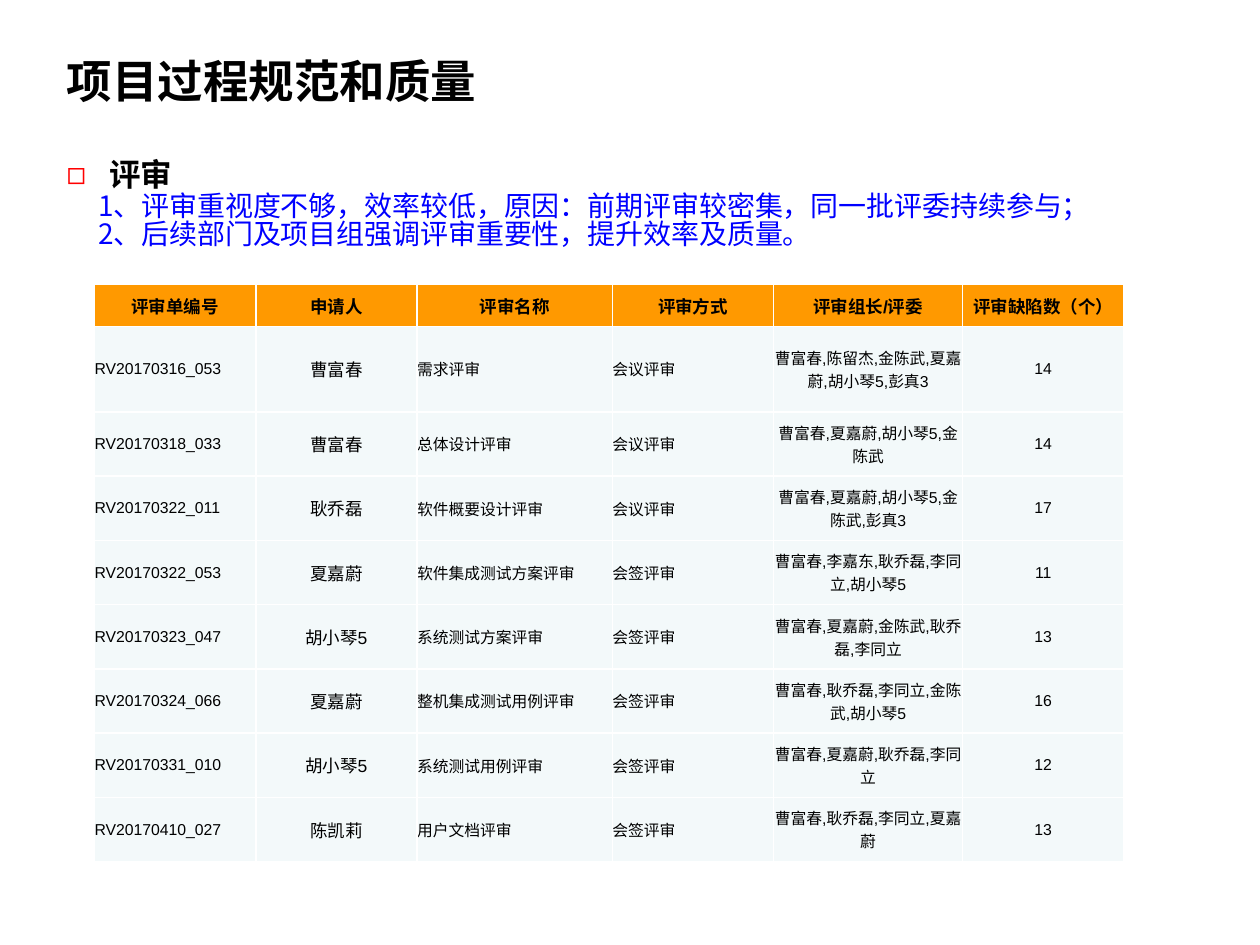
from pptx import Presentation
from pptx.dml.color import RGBColor
from pptx.enum.text import MSO_ANCHOR, PP_ALIGN
from pptx.oxml.ns import qn
from pptx.util import Inches, Pt
from lxml.etree import SubElement

LATIN = "Arial"
CHINESE = "Noto Sans CJK SC"
LEFT, CENTER = PP_ALIGN.LEFT, PP_ALIGN.CENTER

COLUMN_WIDTHS = [1.28, 1.28, 1.55, 1.28, 1.5, 1.28]
ROW_HEIGHTS = [0.33, 0.68] + [0.51] * 7
HEADERS = ["评审单编号", "申请人", "评审名称", "评审方式", "评审组长/评委", "评审缺陷数（个）"]
COLUMN_FORMATS = [(9, LEFT), (10, CENTER), (9, LEFT), (9, LEFT), (9, CENTER), (9, CENTER)]
REVIEWS = [
    ["RV20170316_053", "曹富春", "需求评审", "会议评审", "曹富春,陈留杰,金陈武,夏嘉蔚,胡小琴5,彭真3", "14"],
    ["RV20170318_033", "曹富春", "总体设计评审", "会议评审", "曹富春,夏嘉蔚,胡小琴5,金陈武", "14"],
    ["RV20170322_011", "耿乔磊", "软件概要设计评审", "会议评审", "曹富春,夏嘉蔚,胡小琴5,金陈武,彭真3", "17"],
    ["RV20170322_053", "夏嘉蔚", "软件集成测试方案评审", "会签评审", "曹富春,李嘉东,耿乔磊,李同立,胡小琴5", "11"],
    ["RV20170323_047", "胡小琴5", "系统测试方案评审", "会签评审", "曹富春,夏嘉蔚,金陈武,耿乔磊,李同立", "13"],
    ["RV20170324_066", "夏嘉蔚", "整机集成测试用例评审", "会签评审", "曹富春,耿乔磊,李同立,金陈武,胡小琴5", "16"],
    ["RV20170331_010", "胡小琴5", "系统测试用例评审", "会签评审", "曹富春,夏嘉蔚,耿乔磊,李同立", "12"],
    ["RV20170410_027", "陈凯莉", "用户文档评审", "会签评审", "曹富春,耿乔磊,李同立,夏嘉蔚", "13"],
]


def color(value):
    return RGBColor.from_string(value)


def write(para, text, size=9, font=LATIN, ink="000000", bold=False, align=LEFT):
    para.alignment = align
    span = para.add_run()
    span.text = text
    span.font.size = Pt(size)
    span.font.name = font
    span.font.bold = bold
    span.font.color.rgb = color(ink)
    SubElement(span.font._element, qn("a:ea"), typeface=CHINESE)


def indent(para, margin, first_line=0):
    properties = para._p.get_or_add_pPr()
    properties.set("marL", str(Inches(margin)))
    properties.set("indent", str(Inches(first_line)))
    return properties


def add_bullet(para, character, ink, hanging):
    properties = indent(para, hanging, -hanging)
    bullet_color = SubElement(properties, qn("a:buClr"))
    SubElement(bullet_color, qn("a:srgbClr"), val=ink)
    SubElement(properties, qn("a:buFont"), typeface=LATIN)
    SubElement(properties, qn("a:buChar"), char=character)


def add_borders(cell, ink, width):
    properties = cell._tc.get_or_add_tcPr()
    for side in ("lnL", "lnR", "lnT", "lnB"):
        line = SubElement(properties, qn(f"a:{side}"), w=str(Pt(width)))
        fill = SubElement(line, qn("a:solidFill"))
        SubElement(fill, qn("a:srgbClr"), val=ink)


class ReviewSlide:
    header_fill = "FF9900"
    body_fill = "F3F9FA"
    border = "FFFFFF"
    note_ink = "0000FF"
    bullet_ink = "FF0000"

    def __init__(self, deck):
        self.page = deck.slides.add_slide(deck.slide_layouts[6])

    def add_frame(self, left, top, width, height, anchor=MSO_ANCHOR.TOP):
        box = self.page.shapes.add_textbox(
            Inches(left), Inches(top), Inches(width), Inches(height))
        frame = box.text_frame
        frame.word_wrap = True
        frame.vertical_anchor = anchor
        return frame

    def add_title(self, text):
        frame = self.add_frame(0.43, 0.36, 7.48, 0.55, MSO_ANCHOR.MIDDLE)
        write(frame.paragraphs[0], text, size=26, bold=True)

    def add_summary(self, heading, notes):
        frame = self.add_frame(0.43, 1.23, 8.82, 0.94)
        para = frame.paragraphs[0]
        para.line_spacing = 0.85
        write(para, heading, size=18, font=CHINESE, bold=True)
        add_bullet(para, "◻", self.bullet_ink, hanging=0.34)
        for note in notes:
            para = frame.add_paragraph()
            para.line_spacing = 0.85
            write(para, note, size=16, font=CHINESE, ink=self.note_ink)
            indent(para, 0.25)

    def fill_cell(self, cell, text, fill, **text_format):
        cell.margin_left = cell.margin_right = cell.margin_top = cell.margin_bottom = 0
        cell.vertical_anchor = MSO_ANCHOR.MIDDLE
        add_borders(cell, self.border, 1)
        cell.fill.solid()
        cell.fill.fore_color.rgb = color(fill)
        write(cell.text_frame.paragraphs[0], text, **text_format)

    def add_review_table(self, headers, reviews):
        table = self.page.shapes.add_table(
            len(ROW_HEIGHTS), len(COLUMN_WIDTHS), Inches(0.75), Inches(2.26),
            Inches(sum(COLUMN_WIDTHS)), Inches(sum(ROW_HEIGHTS))).table
        table.horz_banding = False
        for column, width in zip(table.columns, COLUMN_WIDTHS):
            column.width = Inches(width)
        for row, height in zip(table.rows, ROW_HEIGHTS):
            row.height = Inches(height)
        for index, header in enumerate(headers):
            self.fill_cell(table.cell(0, index), header, self.header_fill,
                           size=10, bold=True, align=CENTER)
        for row_index, review in enumerate(reviews, start=1):
            for index, (text, (size, align)) in enumerate(zip(review, COLUMN_FORMATS)):
                self.fill_cell(table.cell(row_index, index), text, self.body_fill,
                               size=size, align=align)


def main():
    deck = Presentation()
    deck.slide_width, deck.slide_height = Inches(10), Inches(7.5)
    slide = ReviewSlide(deck)
    slide.add_title("项目过程规范和质量")
    slide.add_summary("评审", [
        "1、评审重视度不够，效率较低，原因：前期评审较密集，同一批评委持续参与；",
        "2、后续部门及项目组强调评审重要性，提升效率及质量。",
    ])
    slide.add_review_table(HEADERS, REVIEWS)
    deck.save("out.pptx")


if __name__ == "__main__":
    main()
